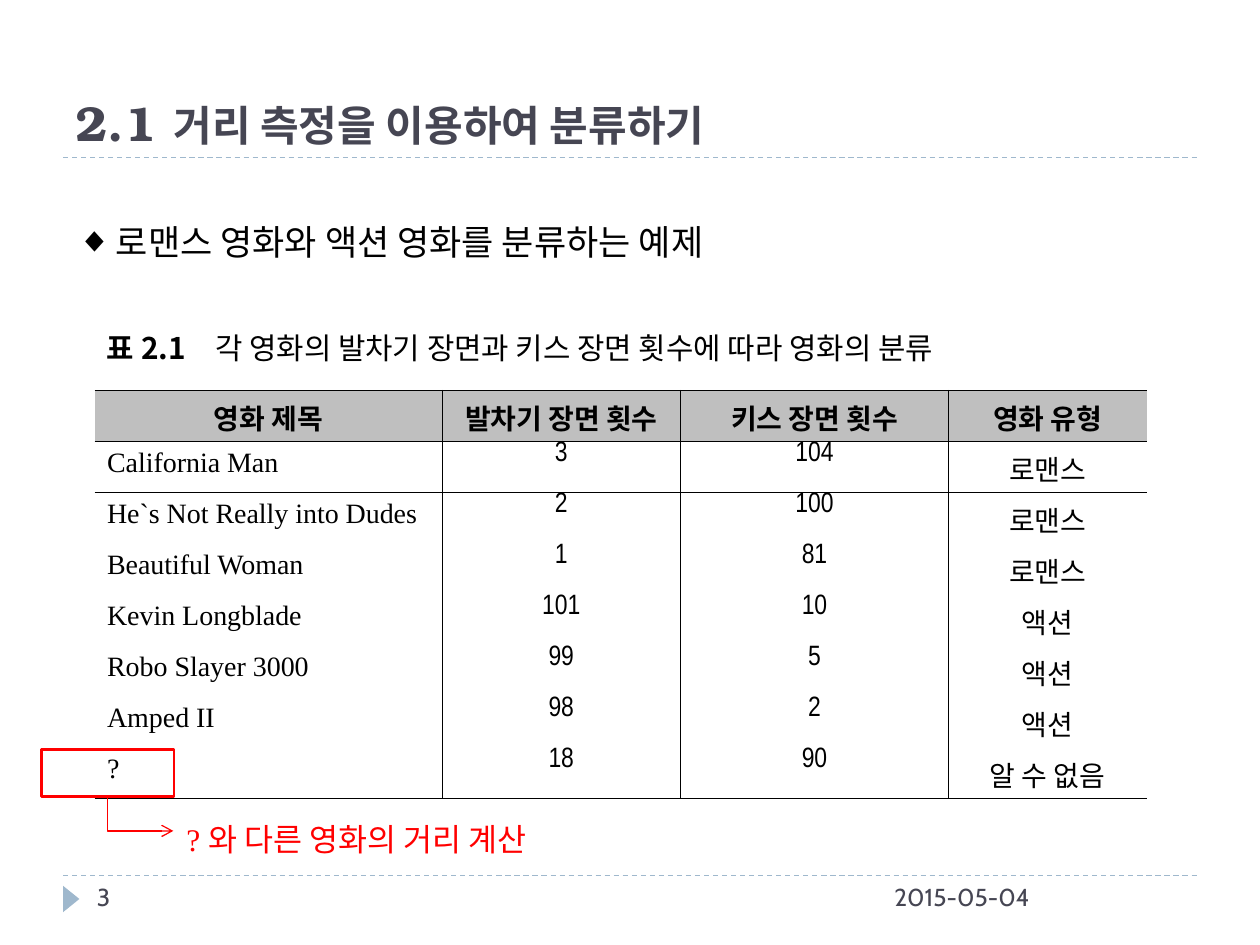
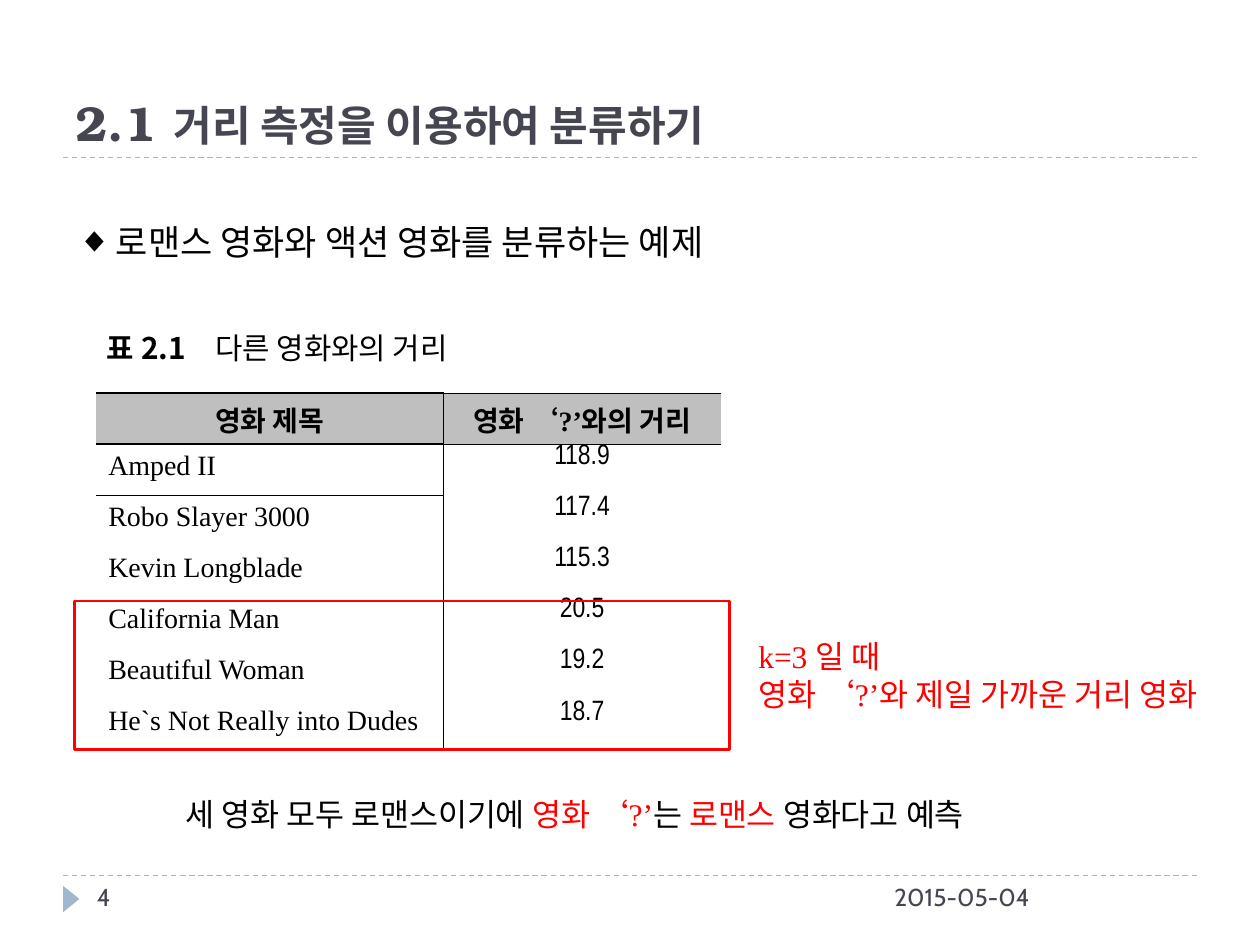
from dataclasses import dataclass
from typing import NamedTuple

from lxml import etree
from pptx import Presentation
from pptx import util as u
from pptx.dml.color import RGBColor
from pptx.enum import dml, shapes, text
from pptx.oxml.ns import qn

EMU_PER_PX = 9144  # 100 px to the inch


@dataclass(frozen=True)
class Theme:
    ink: str = "000000"
    heading: str = "464653"
    accent: str = "9FB8CD"
    alert: str = "FF0000"
    header_fill: str = "BFBFBF"
    number_face: str = "TeX Gyre Bonum"
    title_face: str = "Calibri"
    body_face: str = "Noto Sans CJK TC"
    note_face: str = "Times New Roman"
    table_face: str = "Cabin"
    figure_face: str = "Arial Narrow"
    section_size: int = 28
    title_size: int = 24
    body_size: int = 20
    note_size: int = 18
    caption_size: int = 17
    table_size: int = 16
    footer_size: int = 14


THEME = Theme()


class Box(NamedTuple):
    left: int
    top: int
    width: int
    height: int

    def emu(self) -> tuple[u.Emu, ...]:
        return tuple(px(side) for side in self)


class Style(NamedTuple):
    face: str
    size: int
    color: str = THEME.ink
    bold: bool = False


class Run(NamedTuple):
    words: str
    style: Style | None = None  # None keeps the paragraph's style


@dataclass(frozen=True)
class MovieTable:
    box: Box
    widths: tuple[int, ...]
    rows: tuple[tuple, ...]
    rules: dict[int, tuple[float, ...]]  # horizontal edge -> points per column


TITLE = Style(THEME.title_face, THEME.title_size, THEME.heading, True)
SECTION = Style(THEME.number_face, THEME.section_size, THEME.heading, True)
BODY = Style(THEME.body_face, THEME.body_size)
CAPTION = Style(THEME.body_face, THEME.caption_size)
NOTE = Style(THEME.note_face, THEME.note_size)
ALERT = NOTE._replace(color=THEME.alert)
FOOTER = Style(THEME.table_face, THEME.footer_size, THEME.heading)
HEADER = Style(THEME.table_face, THEME.table_size, bold=True)
MOVIE = Style(THEME.note_face, THEME.table_size)
FIGURE = Style(THEME.figure_face, THEME.table_size)
GENRE = Style(THEME.table_face, THEME.table_size)

THIN, THICK = 0.5, 1
COLUMN_STYLES = (MOVIE, FIGURE, FIGURE, GENRE)

SCENES = MovieTable(
    Box(75, 310, 835, 324), (276, 189, 213, 157),
    (
        ("영화 제목", "발차기 장면 횟수", "키스 장면 횟수", "영화 유형"),
        ("California Man", "3", "104", "로맨스"),
        ("He`s Not Really into Dudes", "2", "100", "로맨스"),
        ("Beautiful Woman", "1", "81", "로맨스"),
        ("Kevin Longblade", "101", "10", "액션"),
        ("Robo Slayer 3000", "99", "5", "액션"),
        ("Amped II", "98", "2", "액션"),
        ("?", "18", "90", "알 수 없음"),
    ),
    {0: (THICK,) * 4, 1: (THICK,) * 4, 2: (THIN,) * 4, 8: (THICK,) * 4},
)
QUOTED = Run("‘?’", HEADER._replace(face=THEME.note_face))
DISTANCES = MovieTable(
    Box(76, 312, 496, 284), (276, 220),
    (
        ("영화 제목", (Run("영화 "), QUOTED, Run("와의 거리"))),
        ("Amped II", "118.9"),
        ("Robo Slayer 3000", "117.4"),
        ("Kevin Longblade", "115.3"),
        ("California Man", "20.5"),
        ("Beautiful Woman", "19.2"),
        ("He`s Not Really into Dudes", "18.7"),
    ),
    {0: (THICK, THIN), 1: (THICK, THIN), 2: (THIN, 0)},
)


def px(length: int) -> u.Emu:
    return u.Emu(length * EMU_PER_PX)


def rgb(color: str) -> RGBColor:
    return RGBColor.from_string(color)


# Text
def set_font(font, style: Style) -> None:
    font.name, font.size, font.bold = style.face, u.Pt(style.size), style.bold
    font.color.rgb = rgb(style.color)


def write(paragraph, content: str | tuple[Run, ...], style: Style) -> None:
    set_font(paragraph.font, style)
    for part in (Run(content),) if isinstance(content, str) else content:
        run = paragraph.add_run()
        run.text = part.words
        if part.style:
            set_font(run.font, part.style)


def add_text(slide, box: Box, style: Style, *lines):
    frame = slide.shapes.add_textbox(*box.emu()).text_frame
    frame.word_wrap = True
    for index, line in enumerate(lines):
        write(frame.add_paragraph() if index else frame.paragraphs[0], line, style)
    return frame


def place(placeholder, box: Box, anchor):
    placeholder.left, placeholder.top, placeholder.width, placeholder.height = box.emu()
    frame = placeholder.text_frame
    frame.auto_size = text.MSO_AUTO_SIZE.NONE
    frame.vertical_anchor = anchor
    paragraph = frame.paragraphs[0]
    paragraph.alignment = text.PP_ALIGN.LEFT
    paragraph.space_before = u.Pt(0)
    return paragraph


def add_caption(slide, words: str) -> None:
    label = Run("표 2.1\t", CAPTION._replace(bold=True))
    frame = add_text(slide, Box(75, 257, 923, 39), CAPTION, (label, Run(words)))
    properties = frame.paragraphs[0]._p.get_or_add_pPr()
    stops = etree.Element(qn("a:tabLst"))
    etree.SubElement(stops, qn("a:tab"), pos=str(px(86)), algn="l")
    properties.insert(0, stops)


# Lines and frames
def add_line(slide, kind, start: tuple[int, int], end: tuple[int, int], color: str):
    line = slide.shapes.add_connector(kind, *map(px, start + end))
    line.line.color.rgb = rgb(color)
    line.line.width = u.Pt(0.75)
    etree.SubElement(line._element.spPr, qn("a:effectLst"))
    return line


def add_highlight(slide, box: Box) -> None:
    frame = slide.shapes.add_shape(shapes.MSO_SHAPE.RECTANGLE, *box.emu())
    frame.shadow.inherit = False
    frame.fill.background()
    frame.line.color.rgb = rgb(THEME.alert)
    frame.line.width = u.Pt(1.5)


def add_bent_arrow(slide) -> None:
    arrow = add_line(slide, shapes.MSO_CONNECTOR.ELBOW, (98, 620), (125, 672), THEME.alert)
    properties = arrow._element.spPr
    properties.find(qn("a:prstGeom")).set("prst", "bentConnector2")
    transform = properties.find(qn("a:xfrm"))
    transform.set("rot", str(270 * 60000))
    transform.set("flipH", "1")
    etree.SubElement(properties.find(qn("a:ln")), qn("a:tailEnd"), type="arrow")


# Tables
def set_borders(cell, **widths: float) -> None:
    properties = cell._tc.get_or_add_tcPr()
    for index, side in enumerate("LRTB"):
        width = widths[side]
        border = etree.Element(qn(f"a:ln{side}"), w=str(u.Pt(width)))
        if width:
            fill = etree.SubElement(border, qn("a:solidFill"))
            etree.SubElement(fill, qn("a:srgbClr"), val=THEME.ink)
        else:
            etree.SubElement(border, qn("a:noFill"))
        properties.insert(index, border)


def add_movie_table(slide, data: MovieTable) -> None:
    row_count, column_count = len(data.rows), len(data.widths)
    table = slide.shapes.add_table(row_count, column_count, *data.box.emu()).table
    for column, width in zip(table.columns, data.widths):
        column.width = px(width)
    no_rule = (0,) * column_count
    for r, values in enumerate(data.rows):
        for c, value in enumerate(values):
            cell = table.cell(r, c)
            style = COLUMN_STYLES[c] if r else HEADER
            cell.margin_bottom = 0
            if style is FIGURE:
                cell.margin_top = 0
            if r:
                cell.fill.background()
            else:
                cell.fill.solid()
                cell.fill.fore_color.rgb = rgb(THEME.header_fill)
            paragraph = cell.text_frame.paragraphs[0]
            if style is not MOVIE:
                paragraph.alignment = text.PP_ALIGN.CENTER
            write(paragraph, value, style)
            set_borders(
                cell,
                L=THIN if c else 0,
                R=THIN if c < column_count - 1 else 0,
                T=data.rules.get(r, no_rule)[c],
                B=data.rules.get(r + 1, no_rule)[c],
            )


# Shared slide parts
def add_slide(deck, number: int):
    slide = deck.slides.add_slide(deck.slide_layouts[1])
    for y in (695, 125):
        rule = add_line(slide, shapes.MSO_CONNECTOR.STRAIGHT, (50, y), (950, y), THEME.accent)
        rule.line.dash_style = dml.MSO_LINE.DASH
    marker = slide.shapes.add_shape(
        shapes.MSO_SHAPE.ISOSCELES_TRIANGLE, *Box(46, 707, 21, 13).emu())
    marker.rotation = 90
    marker.shadow.inherit = False
    marker.fill.solid()
    marker.fill.fore_color.rgb = rgb(THEME.accent)
    marker.line.fill.background()

    heading = place(slide.shapes.title, Box(50, 25, 900, 100), text.MSO_ANCHOR.BOTTOM)
    write(heading, (Run("2.1 ", SECTION), Run("거리 측정을 이용하여 분류하기")), TITLE)

    topic = place(slide.placeholders[1], Box(51, 170, 923, 44), text.MSO_ANCHOR.TOP)
    write(topic, "로맨스 영화와 액션 영화를 분류하는 예제", BODY)
    properties = topic._p.get_or_add_pPr()
    properties.set("marL", str(px(31)))
    properties.set("indent", str(px(-31)))
    bullet = etree.Element(qn("a:buChar"), char="◆")
    properties.find(qn("a:defRPr")).addprevious(bullet)

    add_text(slide, Box(700, 695, 250, 40), FOOTER, "2015-05-04")
    add_text(slide, Box(67, 695, 217, 40), FOOTER, str(number))
    return slide


def add_scene_counts(deck) -> None:
    slide = add_slide(deck, 3)
    add_movie_table(slide, SCENES)
    add_caption(slide, "각 영화의 발차기 장면과 키스 장면 횟수에 따라 영화의 분류")
    add_highlight(slide, Box(33, 595, 105, 37))
    add_bent_arrow(slide)
    add_text(slide, Box(138, 646, 315, 40), ALERT, "? 와 다른 영화의 거리 계산")


def add_distances(deck) -> None:
    slide = add_slide(deck, 4)
    add_caption(slide, "다른 영화와의 거리")
    add_movie_table(slide, DISTANCES)
    add_highlight(slide, Box(59, 477, 520, 118))
    add_text(slide, Box(592, 501, 383, 71), ALERT,
             "k=3 일 때", "영화 ‘?’와 제일 가까운 거리 영화")
    prediction = (Run("세 영화 모두 로맨스이기에 "), Run("영화 ‘?’", ALERT), Run("는 "),
                  Run("로맨스 ", ALERT), Run("영화다고 예측"))
    add_text(slide, Box(137, 626, 705, 40), NOTE, *[prediction])


def main() -> None:
    deck = Presentation()
    deck.slide_width, deck.slide_height = px(1000), px(750)
    add_scene_counts(deck)
    add_distances(deck)
    deck.save("out.pptx")


if __name__ == "__main__":
    main()
